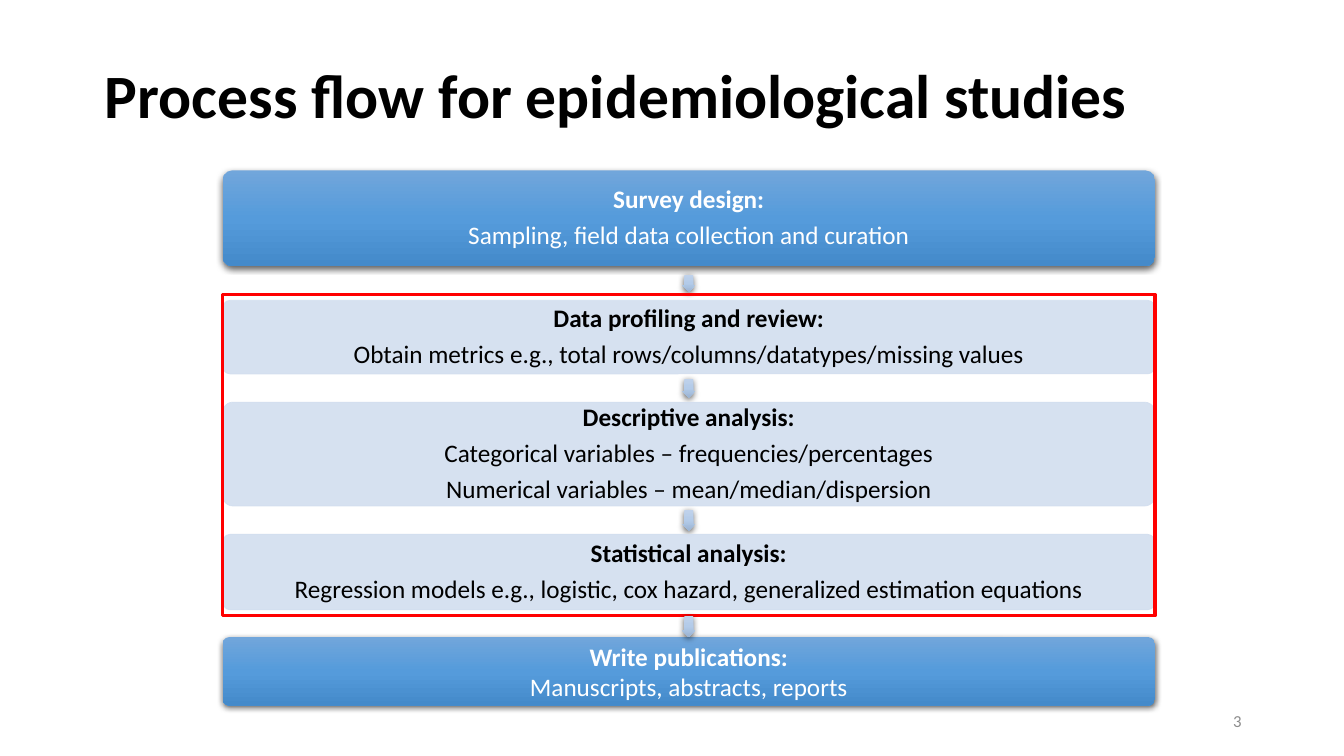
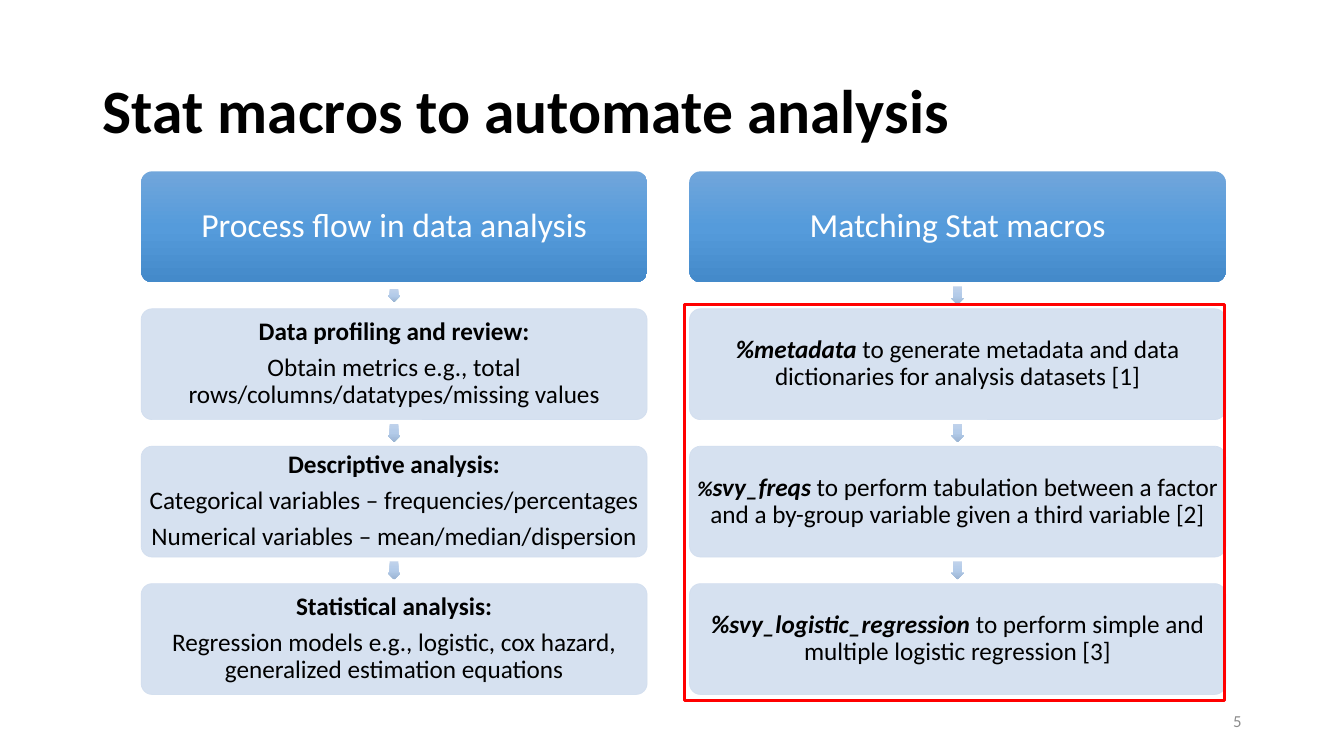
from copy import deepcopy
from dataclasses import dataclass

from pptx import Presentation
from pptx.dml.color import RGBColor
from pptx.enum.shapes import MSO_SHAPE as Shape
from pptx.enum.text import MSO_ANCHOR as Anchor, MSO_AUTO_SIZE as AutoSize, PP_ALIGN as Align
from pptx.oxml import parse_xml
from pptx.oxml.ns import nsdecls, qn
from pptx.util import Emu, Inches, Pt


@dataclass(frozen=True)
class Theme:
    font: str = "Calibri"
    ink: str = "000000"
    white: str = "FFFFFF"
    page_grey: str = "8C8C8C"
    pale: str = "D2DEEF"
    highlight: str = "FF0000"
    blue_gradient: tuple = ("71A6DB", "559BDB", "448ACA")
    arrow_gradient: tuple = ("C0D2EB", "B3CBE9", "9BB4D3")
    title: int = 44
    header: int = 24
    body: int = 18
    small: int = 15
    page: int = 12
    line_spacing: float = 0.9
    gap_share: float = 0.35
    inset: float = 0.02


theme = Theme()
presentation = Presentation()
presentation.slide_width = Emu(12192000)
presentation.slide_height = Emu(6858000)
CELL = presentation.slide_width / 160
TITLE_ONLY = presentation.slide_layouts[5]
ARROW_WIDTH = 1.56


def write(frame, paragraphs, color, align, spacing=theme.line_spacing, gap_share=0):
    frame.word_wrap = True
    frame.auto_size = AutoSize.NONE
    frame.vertical_anchor = Anchor.MIDDLE
    for index, runs in enumerate(paragraphs):
        paragraph = frame.add_paragraph() if index else frame.paragraphs[0]
        paragraph.alignment = align
        paragraph.line_spacing = spacing
        paragraph.space_before = Pt(0)
        paragraph.space_after = Pt(round(gap_share * runs[0][2], 1))
        for text, flags, size in runs:
            run = paragraph.add_run()
            run.text = text
            run.font.name = theme.font
            run.font.size = Pt(size)
            run.font.bold = "b" in flags
            run.font.italic = "i" in flags
            run.font.color.rgb = RGBColor.from_string(color)


def draw(slide, kind, box, fill=None, line=None, line_width=0.5, shadow=False):
    shape = slide.shapes.add_shape(kind, *[Emu(round(cells * CELL)) for cells in box])
    shape.shadow.inherit = False
    properties = shape._element.spPr
    if kind == Shape.ROUNDED_RECTANGLE:
        shape.adjustments[0] = 0.1
    if kind == Shape.DOWN_ARROW:
        shape.adjustments[0] = 0.67
    if isinstance(fill, tuple):
        shape.fill.gradient()
        shape.fill.gradient_angle = 270
        stop_list = properties.find(qn("a:gradFill")).find(qn("a:gsLst"))
        stop_list.insert(1, deepcopy(stop_list[0]))
        for index, stop in enumerate(shape.fill.gradient_stops):
            stop.position = index / 2
            stop.color.rgb = RGBColor.from_string(fill[index])
    elif fill:
        shape.fill.solid()
        shape.fill.fore_color.rgb = RGBColor.from_string(fill)
    else:
        shape.fill.background()
    if line:
        shape.line.color.rgb = RGBColor.from_string(line)
        shape.line.width = Pt(line_width)
    else:
        shape.line.fill.background()
    if fill == theme.pale:
        for color in properties.iter(qn("a:srgbClr")):
            color.append(parse_xml(f'<a:alpha {nsdecls("a")} val="90000"/>'))
    if shadow:
        properties.find(qn("a:effectLst")).append(parse_xml(
            f'<a:outerShdw {nsdecls("a")} blurRad="57150" dist="19050" dir="5400000" '
            'algn="ctr" rotWithShape="0"><a:srgbClr val="000000">'
            '<a:alpha val="63000"/></a:srgbClr></a:outerShdw>'))
    frame = shape.text_frame
    frame.margin_left = frame.margin_right = Inches(theme.inset)
    frame.margin_top = frame.margin_bottom = Inches(theme.inset)
    return shape


slides = []
for title, title_box, page in [
    ("Process flow for epidemiological studies", (11.28, 5.28, 137.76, 12.96), "3"),
    ("Stat macros to automate analysis", (11.04, 4.8, 138, 17.4), "5"),
]:
    slide = presentation.slides.add_slide(TITLE_ONLY)
    heading = slide.shapes.title
    heading.left, heading.top, heading.width, heading.height = [
        Emu(round(cells * CELL)) for cells in title_box]
    write(heading.text_frame, [[(title, "b", theme.title)]], theme.ink, Align.LEFT)
    number = slide.shapes.add_textbox(
        *[Emu(round(cells * CELL)) for cells in (113, 83.4, 36, 4.8)])
    write(number.text_frame, [[(page, "", theme.page)]], theme.page_grey, Align.RIGHT, 1)
    slides.append(slide)
flow_slide, macro_slide = slides

survey, profiling, descriptive, statistical, publications = [
    [[(text, "" if index else "b", theme.body)] for index, text in enumerate(lines)]
    for lines in [
        ("Survey design:", "Sampling, field data collection and curation"),
        ("Data profiling and review:",
         "Obtain metrics e.g., total rows/columns/datatypes/missing values"),
        ("Descriptive analysis:",
         "Categorical variables – frequencies/percentages",
         "Numerical variables – mean/median/dispersion"),
        ("Statistical analysis:",
         "Regression models e.g., logistic, cox hazard, generalized estimation equations"),
        ("Write publications:", "Manuscripts, abstracts, reports"),
    ]
]

FLOW_LEFT, FLOW_WIDTH = 26.5, 111
FRAME_TOP, FRAME_HEIGHT = 35.04, 38.28
arrow_left = FLOW_LEFT + (FLOW_WIDTH - ARROW_WIDTH) / 2
flow_steps = [
    (survey, 20.28, 11.4, 2.04),
    (profiling, 35.76, 8.76, 2.28),
    (descriptive, 47.88, 12.36, 2.52),
    (statistical, 63.6, 9, 0),
    (publications, 75.84, 8.16, 0),
]
for index, (paragraphs, top, height, arrow_height) in enumerate(flow_steps):
    outer = paragraphs in (survey, publications)
    card = draw(flow_slide, Shape.ROUNDED_RECTANGLE, (FLOW_LEFT, top, FLOW_WIDTH, height),
                theme.blue_gradient if outer else theme.pale,
                None if outer else theme.pale, shadow=outer)
    last = paragraphs is publications
    write(card.text_frame, paragraphs, theme.white if outer else theme.ink, Align.CENTER,
          1 if last else theme.line_spacing, 0 if last else theme.gap_share)
    if arrow_height:
        middle = (top + height + flow_steps[index + 1][1]) / 2
        draw(flow_slide, Shape.DOWN_ARROW,
             (arrow_left, middle - arrow_height / 2, ARROW_WIDTH, arrow_height),
             theme.arrow_gradient, shadow=True)
draw(flow_slide, Shape.RECTANGLE, (FLOW_LEFT, FRAME_TOP, FLOW_WIDTH, FRAME_HEIGHT),
     line=theme.highlight, line_width=2.25)
frame_bottom = FRAME_TOP + FRAME_HEIGHT
draw(flow_slide, Shape.DOWN_ARROW,
     (arrow_left, frame_bottom, ARROW_WIDTH, flow_steps[-1][1] - frame_bottom),
     theme.arrow_gradient, shadow=True)

ROW_TOP, ROW_HEIGHT, ROW_PITCH = 20.4, 13.2, 16.36
metadata = [[("%metadata", "bi", theme.body),
             (" to generate metadata and data dictionaries for analysis datasets [1]",
              "", theme.body)]]
frequencies = [[("%", "bi", theme.small), ("svy_freqs", "bi", theme.body),
                (" to perform tabulation between a factor and a by-group variable "
                 "given a third variable [2]", "", theme.body)]]
regression = [[("%svy_logistic_regression", "bi", theme.body),
               (" to perform simple and multiple logistic regression [3]", "", theme.body)]]
macro_columns = [
    (16.8, 60.24, 1.56, "Process flow in data analysis",
     [profiling, descriptive, statistical]),
    (82.08, 63.84, 2.16, "Matching Stat macros", [metadata, frequencies, regression]),
]
for left, width, first_arrow_height, header, cards in macro_columns:
    for row, paragraphs in enumerate([[[(header, "", theme.header)]], *cards]):
        top = ROW_TOP + row * ROW_PITCH
        if row:
            arrow_height = first_arrow_height if row == 1 else 2.16
            middle = top - (ROW_PITCH - ROW_HEIGHT) / 2
            draw(macro_slide, Shape.DOWN_ARROW,
                 (left + (width - ARROW_WIDTH) / 2, middle - arrow_height / 2,
                  ARROW_WIDTH, arrow_height), theme.arrow_gradient)
        card = draw(macro_slide, Shape.ROUNDED_RECTANGLE, (left, top, width, ROW_HEIGHT),
                    theme.pale if row else theme.blue_gradient,
                    theme.pale if row else None)
        write(card.text_frame, paragraphs, theme.ink if row else theme.white,
              Align.CENTER, gap_share=theme.gap_share)
draw(macro_slide, Shape.RECTANGLE, (81.48, 36.24, 64.32, 47.16),
     line=theme.highlight, line_width=2.25)

presentation.save("out.pptx")
